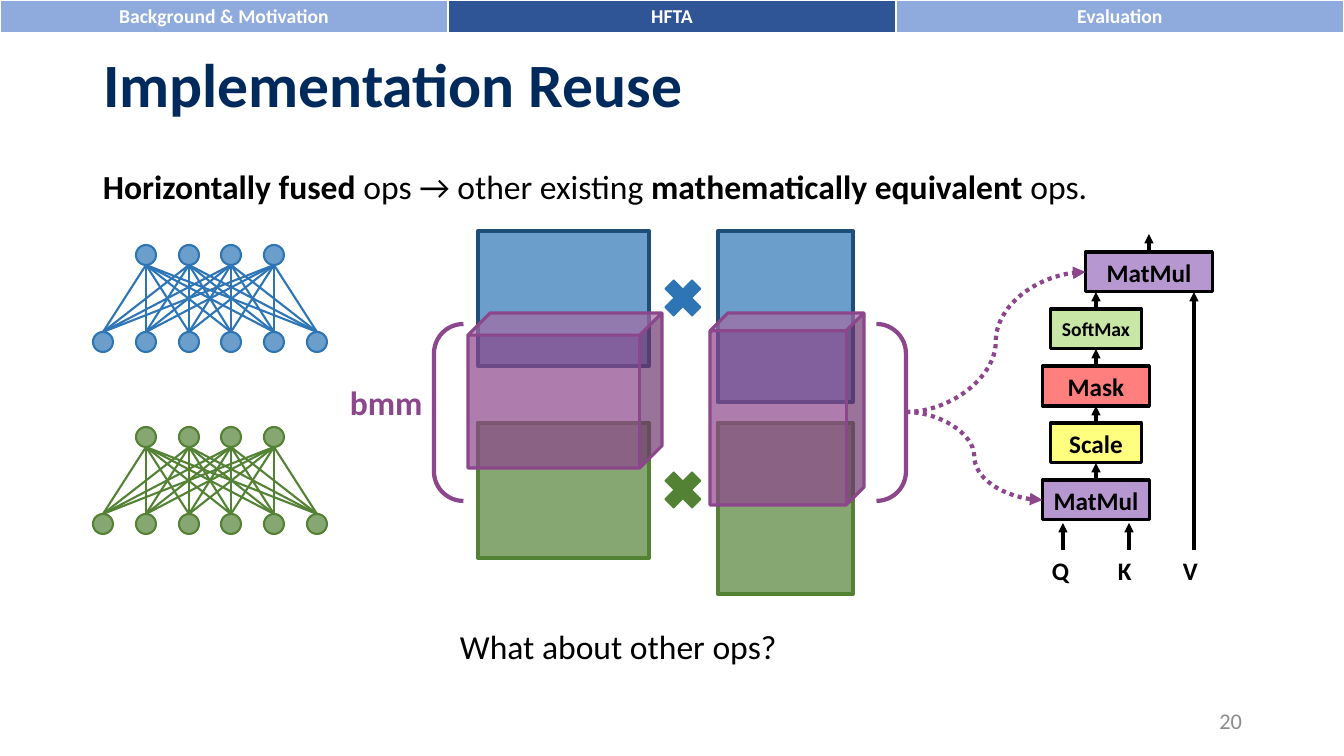
import pptx
import pptx.util
import pptx.dml.color
import pptx.enum.dml
import pptx.enum.shapes
import pptx.enum.text
import pptx.oxml
import pptx.oxml.ns

EMU_PER_PX = 9144000 / 1008
FONT = "Calibri"
COLORS = {
    "white": "FFFFFF", "black": "000000", "grey": "8C8C8C", "navy": "002A5C",
    "tab": "8FAADC", "active_tab": "2F5597", "blue": "2E75B6", "dark_blue": "1F4E79",
    "green": "548235", "plum": "8C468C", "violet": "7030A0", "lime": "92D050",
    "red": "FF0000", "yellow": "FFFF00",
}

TABS = [("Background & Motivation", "tab"), ("HFTA", "active_tab"), ("Evaluation", "tab")]
TITLE = "Implementation Reuse"
# Text boxes: left, top, width, height, size, colour, alignment, runs of (text, bold)
TEXTS = [
    (93, 161, 1038, 50, 24, "black", "LEFT",
     [("Horizontally fused", True), (" ops → other existing ", False),
      ("mathematically equivalent", True), (" ops.", False)]),
    (450, 621, 350, 50, 24, "black", "LEFT", [("What about other ops?", False)]),
    (340, 377, 95, 50, 24, "plum", "LEFT", [("bmm", True)]),
]
PAGE_NUMBER = (950, 701, 302, 40, 16, "grey", "RIGHT", [("20", False)])

# Models: fill, matrix outline, network shift, matrix shift
MODELS = [("blue", "dark_blue", 0, 0), ("green", "green", 182, 192)]
NODE, NODE_LEFT, NODE_SPAN = 20, 103, 214
BOTTOM_NODES, TOP_NODES = range(6), range(1, 5)
BOTTOM_Y, TOP_Y = 342, 255
MATRICES = [(478, 231, 171, 135), (718, 231, 135, 171)]
TIMES_SIGN = (657, 272, 52, 52)
CUBES = [((468, 313, 194, 155), 0.143), ((710, 313, 154, 192), 0.116)]
BRACKETS = (434, 324, 472, 177)

# Attention blocks from the top: label, centre, width, fill, text size
BLOCKS = [
    ("MatMul", 1149, 127, "violet", 18), ("SoftMax", 1096, 91, "lime", 14),
    ("Mask", 1096, 107, "red", 18), ("Scale", 1096, 91, "yellow", 18),
    ("MatMul", 1096, 107, "violet", 18),
]
BLOCK_TOP, BLOCK_PITCH, BLOCK_HEIGHT = 252, 57, 40
INPUT_Y = 550
INPUTS = [("Q", 1063, 523), ("K", 1129, 523), ("V", 1194, 292)]

SHAPE = pptx.enum.shapes.MSO_SHAPE
CONNECTOR = pptx.enum.shapes.MSO_CONNECTOR
ALIGN = pptx.enum.text.PP_ALIGN
ANCHOR = pptx.enum.text.MSO_ANCHOR
qn = pptx.oxml.ns.qn


def px(*lengths):
    return [pptx.util.Emu(round(length * EMU_PER_PX)) for length in lengths]


def rgb(color):
    return pptx.dml.color.RGBColor.from_string(COLORS[color])


def add_child(parent, tag, **attributes):
    child = parent.makeelement(qn(tag), attributes)
    parent.append(child)
    return child


def style_runs(paragraph, size, color, bold):
    for run in paragraph.runs:
        run.font.name = FONT
        run.font.size = pptx.util.Pt(size)
        run.font.bold = bold
        run.font.color.rgb = rgb(color)


def style_line(line, color, width):
    line.color.rgb = rgb(color)
    line.width = pptx.util.Pt(width)


def add_shape(shapes, kind, box, fill, line, width, opacity=100):
    shape = shapes.add_shape(kind, *px(*box))
    shape.shadow.inherit = False
    style_line(shape.line, line, width)
    if fill is None:
        shape.fill.background()
        return shape
    shape.fill.solid()
    shape.fill.fore_color.rgb = rgb(fill)
    if opacity < 100:
        solid = shape.element.spPr.find(qn("a:solidFill"))
        add_child(solid[0], "a:alpha", val=str(opacity * 1000))
    return shape


def add_line(shapes, start, end, color, width, kind=CONNECTOR.STRAIGHT, arrow=False, dotted=False):
    connector = shapes.add_connector(kind, *px(*start, *end))
    style_line(connector.line, color, width)
    if dotted:
        connector.line.dash_style = pptx.enum.dml.MSO_LINE.ROUND_DOT
    properties = connector.element.spPr
    if arrow:
        add_child(properties.find(qn("a:ln")), "a:tailEnd", type="triangle")
    add_child(properties, "a:effectLst")


def add_text(shapes, left, top, width, height, size, color, align, runs):
    frame = shapes.add_textbox(*px(left, top, width, height)).text_frame
    frame.word_wrap = True
    paragraph = frame.paragraphs[0]
    paragraph.alignment = ALIGN[align]
    for text, bold in runs:
        run = paragraph.add_run()
        run.text = text
    style_runs(paragraph, size, color, False)
    for run, (text, bold) in zip(paragraph.runs, runs):
        run.font.bold = bold
    return frame


def add_tabs(shapes):
    table = shapes.add_table(1, len(TABS), *px(0, 0, 1344, 33)).table
    table.first_row = table.horz_banding = False
    for cell, (label, fill) in zip(table.rows[0].cells, TABS):
        cell.text = label
        paragraph = cell.text_frame.paragraphs[0]
        paragraph.alignment = ALIGN.CENTER
        style_runs(paragraph, 14, "white", True)
        properties = cell._tc.get_or_add_tcPr()
        for side, width in [("L", 1), ("R", 1), ("T", 1), ("B", 3)]:
            border = add_child(properties, "a:ln" + side, w=str(pptx.util.Pt(width)))
            add_child(add_child(border, "a:solidFill"), "a:srgbClr", val=COLORS["white"])
        cell.fill.solid()
        cell.fill.fore_color.rgb = rgb(fill)


def add_title(slide):
    title = slide.shapes.title
    title.left, title.top, title.width, title.height = px(93, 15, 1159, 146)
    frame = title.text_frame
    frame.text = TITLE
    frame.auto_size = pptx.enum.text.MSO_AUTO_SIZE.NONE
    frame.vertical_anchor = ANCHOR.MIDDLE
    paragraph = frame.paragraphs[0]
    paragraph.alignment = ALIGN.LEFT
    paragraph.line_spacing = 0.9
    style_runs(paragraph, 44, "navy", True)


def add_network(slide, color, shift):
    """Draw two fully connected layers of nodes as one group."""
    shapes = slide.shapes.add_group_shape().shapes
    radius = NODE // 2
    centers = [NODE_LEFT + round(NODE_SPAN * i / 5) for i in BOTTOM_NODES]
    for layer, y in [(BOTTOM_NODES, BOTTOM_Y), (TOP_NODES, TOP_Y)]:
        for i in layer:
            box = (centers[i] - radius, y + shift - radius, NODE, NODE)
            add_shape(shapes, SHAPE.OVAL, box, color, color, 1.5, 70)
    for top in TOP_NODES:
        for bottom in BOTTOM_NODES:
            add_line(shapes, (centers[bottom], BOTTOM_Y + shift - radius),
                     (centers[top], TOP_Y + shift + radius), color, 1.5)


def add_multiplication(shapes):
    for fill, outline, _, shift in MODELS:
        for left, top, width, height in MATRICES:
            add_shape(shapes, SHAPE.RECTANGLE, (left, top + shift, width, height), fill, outline, 3, 70)
        left, top, width, height = TIMES_SIGN
        add_shape(shapes, SHAPE.MATH_MULTIPLY, (left, top + shift, width, height), fill, fill, 1)
    for box, depth in CUBES:
        cube = add_shape(shapes, SHAPE.CUBE, box, "plum", "plum", 2.25, 70)
        cube.adjustments[0] = depth
    add_shape(shapes, SHAPE.DOUBLE_BRACKET, BRACKETS, None, "plum", 3)


def add_attention(shapes):
    tops = [BLOCK_TOP + BLOCK_PITCH * i for i in range(len(BLOCKS))]
    for top, (label, center, width, fill, size) in zip(tops, BLOCKS):
        box = (center - width / 2, top, width, BLOCK_HEIGHT)
        block = add_shape(shapes, SHAPE.RECTANGLE, box, fill, "black", 2.25, 50)
        frame = block.text_frame
        frame.text = label
        frame.word_wrap = False
        frame.vertical_anchor = ANCHOR.MIDDLE
        frame.paragraphs[0].alignment = ALIGN.CENTER
        style_runs(frame.paragraphs[0], size, "black", True)
    arrows = [(BLOCKS[0][1], BLOCK_TOP, BLOCK_TOP - 18)]
    arrows += [(BLOCKS[1][1], top, top - BLOCK_PITCH + BLOCK_HEIGHT) for top in tops[1:]]
    for label, x, end in INPUTS:
        add_text(shapes, x - 21, INPUT_Y, 41, 40, 18, "black", "LEFT", [(label, True)])
        arrows.append((x, INPUT_Y, end))
    for x, start, end in arrows:
        add_line(shapes, (x, start), (x, end), "black", 2.25, arrow=True)
    left, top, width, height = BRACKETS
    for i in (0, -1):
        target = (BLOCKS[i][1] - BLOCKS[i][2] / 2, tops[i] + BLOCK_HEIGHT / 2)
        add_line(shapes, (left + width, top + height // 2), target, "plum", 3,
                 CONNECTOR.CURVE, arrow=True, dotted=True)


def main():
    presentation = pptx.Presentation()
    presentation.slide_width, presentation.slide_height = px(1344, 756)
    slide = presentation.slides.add_slide(presentation.slide_layouts[5])
    add_tabs(slide.shapes)
    add_title(slide)
    for color, _, shift, _ in MODELS:
        add_network(slide, color, shift)
    add_multiplication(slide.shapes)
    add_attention(slide.shapes)
    for text in TEXTS:
        add_text(slide.shapes, *text)
    add_text(slide.shapes, *PAGE_NUMBER).vertical_anchor = ANCHOR.MIDDLE
    presentation.save("out.pptx")


if __name__ == "__main__":
    main()
